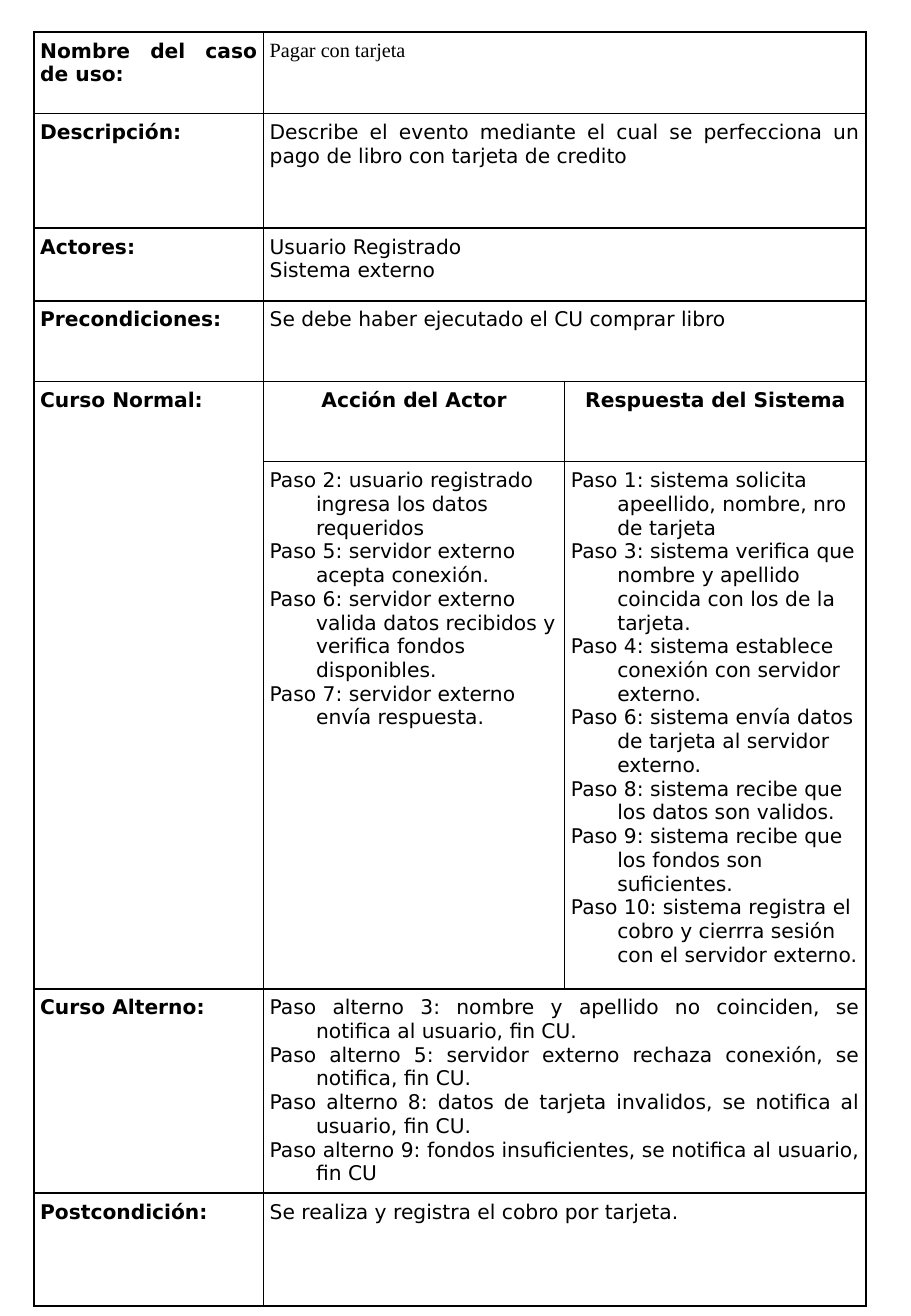
"""Build a one-slide use case specification table."""
from lxml import etree
from pptx import Presentation
from pptx import util as u
from pptx.dml.color import RGBColor
from pptx.enum import text
from pptx.oxml.ns import qn

COLORS = {"ink": "000000"}
BODY_FONT, NAME_FONT = "DejaVu Sans", "Times New Roman"
JUSTIFY, CENTER, LEFT = text.PP_ALIGN.JUSTIFY, text.PP_ALIGN.CENTER, text.PP_ALIGN.LEFT
PLAIN = {"align": JUSTIFY}
HANGING = {"align": JUSTIFY, "hanging": 0.97}
STEPS = {"align": LEFT, "hanging": 0.97}
HEADING = {"align": CENTER, "hanging": 0.97, "bold": True}

TABLE_LEFT, TABLE_TOP = 0.71, 0.67
COLUMN_WIDTHS = [4.8, 6.3, 6.3]
ROWS = [
    (1.7, "Nombre del caso de uso:", [["Pagar con tarjeta"]], {**PLAIN, "font": NAME_FONT}),
    (2.4, "Descripción:", [[
        "Describe el evento mediante el cual se perfecciona un pago de libro con tarjeta de credito",
    ]], PLAIN),
    (1.52, "Actores:", [["Usuario Registrado", "Sistema externo"]], PLAIN),
    (1.68, "Precondiciones:", [["Se debe haber ejecutado el CU comprar libro"]], PLAIN),
    (1.68, "Curso Normal:", [["Acción del Actor"], ["Respuesta del Sistema"]], HEADING),
    (11.02, None, [[
        "Paso 2: usuario registrado ingresa los datos requeridos",
        "Paso 5: servidor externo acepta conexión.",
        "Paso 6: servidor externo valida datos recibidos y verifica fondos disponibles.",
        "Paso 7: servidor externo envía respuesta.",
    ], [
        "Paso 1: sistema solicita apeellido, nombre, nro de tarjeta",
        "Paso 3: sistema verifica que nombre y apellido coincida con los de la tarjeta.",
        "Paso 4: sistema establece conexión con servidor externo.",
        "Paso 6: sistema envía datos de tarjeta al servidor externo.",
        "Paso 8: sistema recibe que los datos son validos.",
        "Paso 9: sistema recibe que los fondos son suficientes.",
        "Paso 10: sistema registra el cobro y cierrra sesión con el servidor externo.",
    ]], STEPS),
    (4.27, "Curso Alterno:", [[
        "Paso alterno 3: nombre y apellido no coinciden, se notifica al usuario, fin CU.",
        "Paso alterno 5: servidor externo rechaza conexión, se notifica, fin CU.",
        "Paso alterno 8: datos de tarjeta invalidos, se notifica al usuario, fin CU.",
        "Paso alterno 9: fondos insuficientes, se notifica al usuario, fin CU",
    ]], HANGING),
    (2.36, "Postcondición:", [["Se realiza y registra el cobro por tarjeta."]], HANGING),
]


def write(cell, lines, align=JUSTIFY, hanging=0, bold=False, font=BODY_FONT, size=12):
    """Fill a cell with one formatted paragraph per line."""
    for index, line in enumerate(lines):
        frame = cell.text_frame
        paragraph = frame.add_paragraph() if index else frame.paragraphs[0]
        paragraph.alignment = align
        if hanging:
            properties = paragraph._p.get_or_add_pPr()
            properties.set("marL", str(u.Cm(hanging)))
            properties.set("indent", str(-u.Cm(hanging)))
        run = paragraph.add_run()
        run.text = line
        run.font.name, run.font.size, run.font.bold = font, u.Pt(size), bold
        run.font.color.rgb = RGBColor.from_string(COLORS["ink"])


def frame_cell(cell):
    """Give a cell its margins, thin borders and no fill."""
    cell.margin_left = cell.margin_right = u.Cm(0.13)
    cell.margin_top = cell.margin_bottom = u.Cm(0.15)
    properties = cell._tc.get_or_add_tcPr()
    for side in ("a:lnL", "a:lnR", "a:lnT", "a:lnB"):
        line = etree.SubElement(properties, qn(side), w=str(u.Pt(1)))
        fill = etree.SubElement(line, qn("a:solidFill"))
        etree.SubElement(fill, qn("a:srgbClr"), val=COLORS["ink"])
    cell.fill.background()


def add_use_case_table(slide):
    """Add the table and merge its cells where a row has fewer values."""
    heights = [row[0] for row in ROWS]
    table = slide.shapes.add_table(
        len(ROWS), len(COLUMN_WIDTHS), u.Cm(TABLE_LEFT), u.Cm(TABLE_TOP),
        u.Cm(sum(COLUMN_WIDTHS)), u.Cm(sum(heights))).table
    table.first_row = table.horz_banding = False
    for column, width in zip(table.columns, COLUMN_WIDTHS):
        column.width = u.Cm(width)
    for row, height in zip(table.rows, heights):
        row.height = u.Cm(height)
    for cell in table.iter_cells():
        frame_cell(cell)
    for index, (_, label, values, style) in enumerate(ROWS):
        if label:
            write(table.cell(index, 0), [label], bold=True, hanging=style.get("hanging", 0))
        else:
            table.cell(index - 1, 0).merge(table.cell(index, 0))
        if len(values) == 1:
            table.cell(index, 1).merge(table.cell(index, 2))
        for column, lines in enumerate(values, start=1):
            write(table.cell(index, column), lines, **style)


def main():
    """Create and save the presentation."""
    presentation = Presentation()
    presentation.slide_width, presentation.slide_height = u.Cm(19.05), u.Cm(27.51)
    slide = presentation.slides.add_slide(presentation.slide_layouts[6])
    add_use_case_table(slide)
    presentation.save("out.pptx")


if __name__ == "__main__":
    main()
